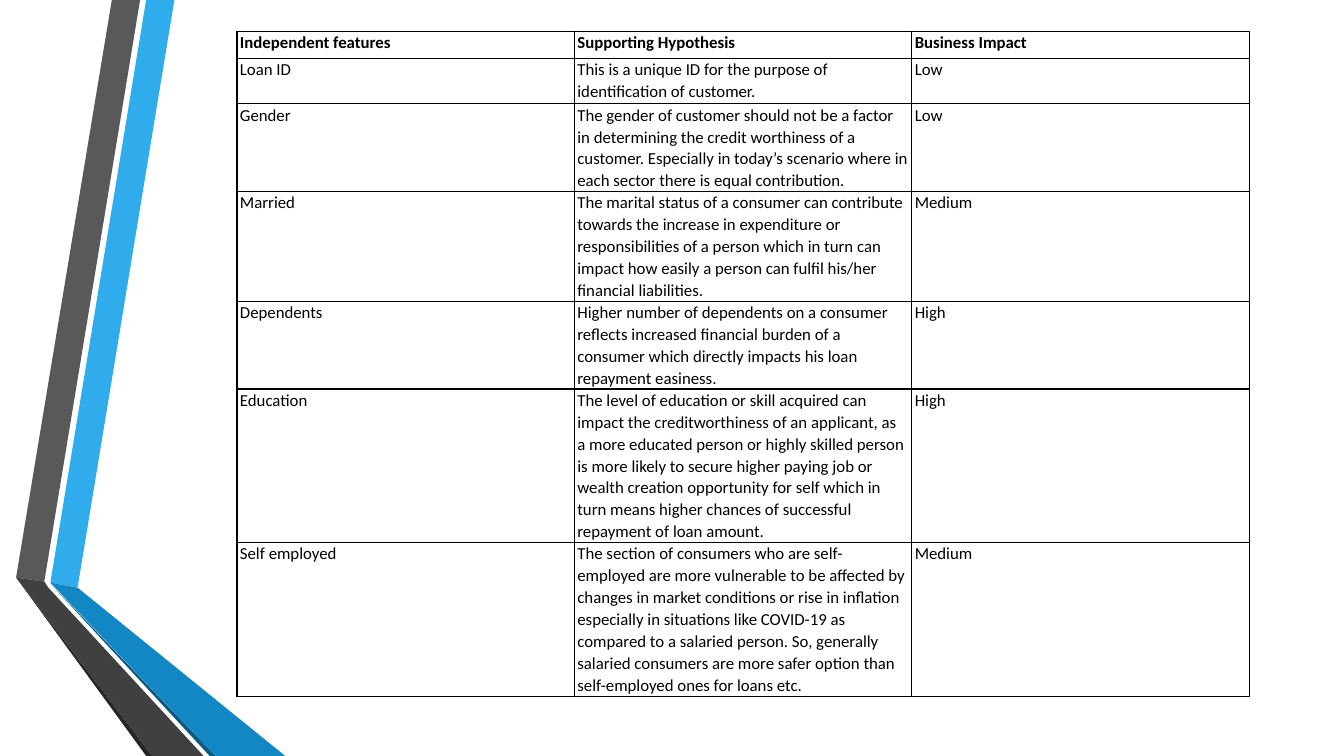
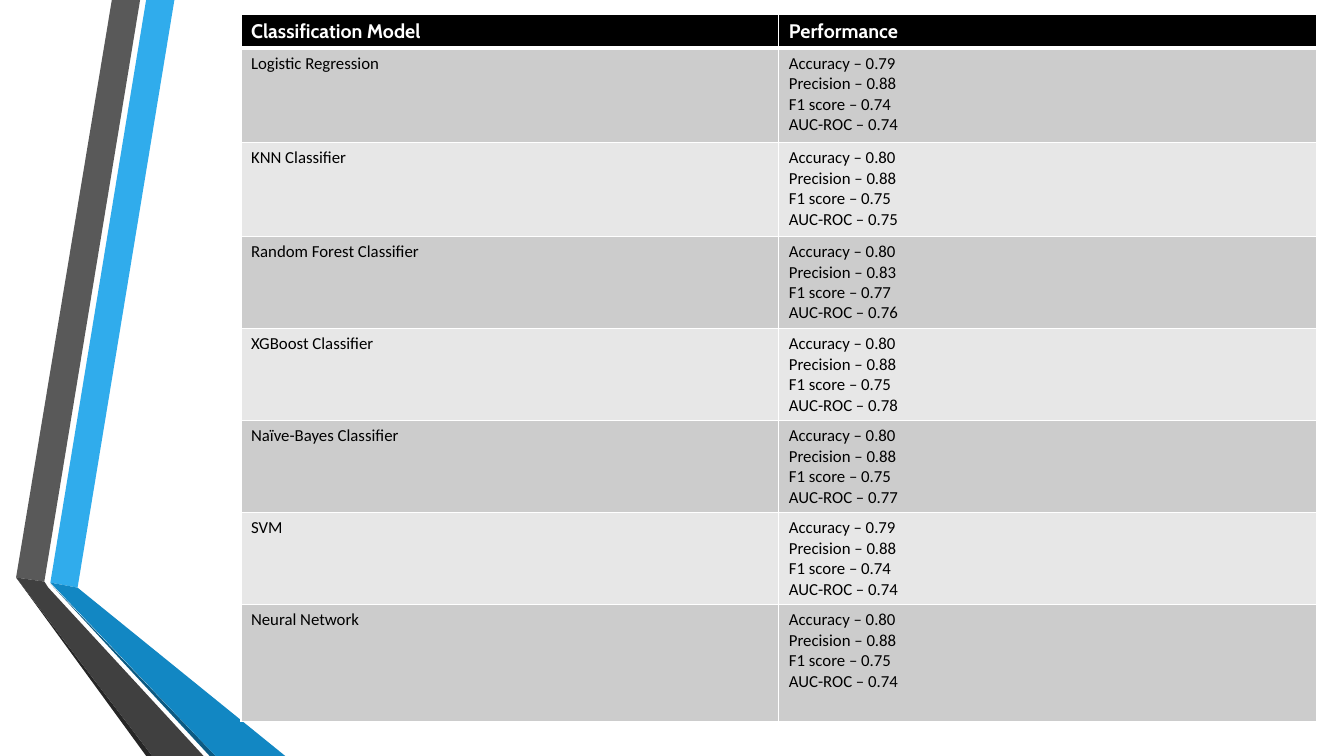
import dataclasses

import lxml.etree
import pptx
import pptx.dml.color
import pptx.enum.text
import pptx.oxml.ns
import pptx.util

Inches = pptx.util.Inches
Pt = pptx.util.Pt
ALIGN = pptx.enum.text.PP_ALIGN


@dataclasses.dataclass(frozen=True)
class Theme:
    """Colours, fonts and type sizes of the deck."""
    black: str = "000000"
    white: str = "FFFFFF"
    row_dark: str = "CCCCCC"
    row_light: str = "E7E7E7"
    blue: str = "30ACEC"
    blue_fold: str = "1287C3"
    blue_shade: str = "0C5A82"
    grey: str = "595959"
    grey_fold: str = "404040"
    grey_shade: str = "262626"
    body_font: str = "Calibri"
    head_font: str = "Cabin"
    body_size: int = 12
    head_size: int = 14
    hairline: int = 1
    rule: int = 3


THEME = Theme()

RIBBONS = [
    (THEME.blue, [(0.34, 5.78), (0.61, 5.83), (1.57, 0), (1.29, 0)]),
    (THEME.grey, [(1.23, 0), (0.95, 0), (0, 5.73), (0.28, 5.77)]),
    (THEME.grey_shade, [(0, 5.73), (1.29, 7.5), (1.35, 7.5)]),
    (THEME.blue_shade, [(0.34, 5.79), (1.92, 7.5), (1.98, 7.5)]),
    (THEME.blue_fold, [(0.34, 5.78), (1.98, 7.5), (2.67, 7.5), (0.61, 5.83)]),
    (THEME.grey_fold, [(1.86, 7.5), (0.32, 5.83), (0.28, 5.77), (0, 5.73), (1.35, 7.5)]),
]

FEATURES = [
    ("Independent features", "Supporting Hypothesis", "Business Impact"),
    ("Loan ID", "This is a unique ID for the purpose of identification of customer.", "Low"),
    ("Gender",
     "The gender of customer should not be a factor in determining the credit worthiness "
     "of a customer. Especially in today’s scenario where in each sector there is equal "
     "contribution.", "Low"),
    ("Married",
     "The marital status of a consumer can contribute towards the increase in expenditure "
     "or responsibilities of a person which in turn can impact how easily a person can "
     "fulfil his/her financial liabilities.", "Medium"),
    ("Dependents",
     "Higher number of dependents on a consumer reflects increased financial burden of a "
     "consumer which directly impacts his loan repayment easiness.", "High"),
    ("Education",
     "The level of education or skill acquired can impact the creditworthiness of an "
     "applicant, as a more educated person or highly skilled person is more likely to "
     "secure higher paying job or wealth creation opportunity for self which in turn means "
     "higher chances of successful repayment of loan amount.", "High"),
    ("Self employed",
     "The section of consumers who are self-employed are more vulnerable to be affected by "
     "changes in market conditions or rise in inflation especially in situations like "
     "COVID-19 as compared to a salaried person. So, generally salaried consumers are more "
     "safer option than self-employed ones for loans etc.", "Medium"),
]
FEATURE_HEIGHTS = [0.27, 0.45, 0.87, 1.09, 0.87, 1.52, 1.53]

METRICS = ("Accuracy", "Precision", "F1 score", "AUC-ROC")
MODELS = [
    ("Logistic Regression", (0.79, 0.88, 0.74, 0.74)),
    ("KNN Classifier", (0.80, 0.88, 0.75, 0.75)),
    ("Random Forest Classifier", (0.80, 0.83, 0.77, 0.76)),
    ("XGBoost Classifier", (0.80, 0.88, 0.75, 0.78)),
    ("Naïve-Bayes Classifier", (0.80, 0.88, 0.75, 0.77)),
    ("SVM", (0.79, 0.88, 0.74, 0.74)),
    ("Neural Network", (0.80, 0.88, 0.75, 0.74)),
]
MODEL_HEIGHTS = [0.32, 0.94, 0.93, 0.91, 0.91, 0.91, 0.91, 1.16]


def rgb(colour):
    """Return the colour object for a hex string."""
    return pptx.dml.color.RGBColor.from_string(colour)


def add_ribbons(s, layout, left, top):
    """Draw the folded ribbons from a corner point and hand them to the layout."""
    group = s.shapes.add_group_shape()
    for colour, outline in RIBBONS:
        points = [(Inches(left + x), Inches(top + y)) for x, y in outline]
        builder = group.shapes.build_freeform(*points[0], scale=1.0)
        builder.add_line_segments(points[1:], close=True)
        sp = builder.convert_to_shape()
        sp.shadow.inherit = False
        sp.fill.solid()
        sp.fill.fore_color.rgb = rgb(colour)
        sp.line.fill.background()
    layout.element.cSld.spTree.append(group.element)


def add_grid(s, left, top, width, heights, columns):
    """Add an unbanded table with equal columns and return it."""
    frame = s.shapes.add_table(len(heights), columns, Inches(left), Inches(top),
                               Inches(width), Inches(sum(heights)))
    table = frame.table
    table.first_row = table.horz_banding = False
    for row, height in zip(table.rows, heights):
        row.height = Inches(height)
    return table


def set_borders(cell, colour, **widths):
    """Draw the four cell borders, hairline unless a side has its own width."""
    tcPr = cell._tc.get_or_add_tcPr()
    for side in "LRTB":
        width = Pt(widths.get(side, THEME.hairline))
        ln = lxml.etree.SubElement(tcPr, pptx.oxml.ns.qn(f"a:ln{side}"), w=str(width))
        fill = lxml.etree.SubElement(ln, pptx.oxml.ns.qn("a:solidFill"))
        lxml.etree.SubElement(fill, pptx.oxml.ns.qn("a:srgbClr"), val=colour)


def write_cell(cell, lines, font, size, colour, bold=False):
    """Write one paragraph per line and return the paragraphs."""
    tf = cell.text_frame
    for i, line in enumerate(lines):
        p = tf.add_paragraph() if i else tf.paragraphs[0]
        r = p.add_run()
        r.text = line
        r.font.name = font
        r.font.size = Pt(size)
        r.font.bold = bold
        r.font.color.rgb = rgb(colour)
    return tf.paragraphs


def add_feature_table(s, left, top, width):
    """Place the ruled table of features and hypotheses."""
    table = add_grid(s, left, top, width, FEATURE_HEIGHTS, len(FEATURES[0]))
    for i, row in enumerate(FEATURES):
        for j, text in enumerate(row):
            cell = table.cell(i, j)
            cell.margin_left = cell.margin_right = Inches(0.03)
            cell.margin_top = cell.margin_bottom = 0
            set_borders(cell, THEME.black)
            cell.fill.background()
            for p in write_cell(cell, [text], THEME.body_font, THEME.body_size,
                                THEME.black, bold=i == 0):
                p.line_spacing = 1.07
                p.space_after = Pt(8)


def add_model_table(s, left, top, width):
    """Place the banded table of models and their scores."""
    rows = [(["Classification Model"], ["Performance"])]
    rows += [([name], [f"{metric} – {score:.2f}" for metric, score in zip(METRICS, scores)])
             for name, scores in MODELS]
    table = add_grid(s, left, top, width, MODEL_HEIGHTS, 2)
    head = (THEME.head_font, THEME.head_size, THEME.white, True)
    body = (THEME.body_font, THEME.body_size, THEME.black)
    for i, row in enumerate(rows):
        band = THEME.row_dark if i % 2 else THEME.row_light
        rules = {0: {"B": THEME.rule}, 1: {"T": THEME.rule}}.get(i, {})
        for j, lines in enumerate(row):
            cell = table.cell(i, j)
            set_borders(cell, THEME.white, **rules)
            cell.fill.solid()
            cell.fill.fore_color.rgb = rgb(band if i else THEME.black)
            for p in write_cell(cell, lines, *(body if i else head)):
                p.alignment = ALIGN.JUSTIFY


def main():
    """Build and save the deck."""
    prs = pptx.Presentation()
    prs.slide_width, prs.slide_height = Inches(13.33), Inches(7.5)
    layout = prs.slide_layouts[6]
    for placeholder in list(layout.placeholders):
        placeholder.element.getparent().remove(placeholder.element)
    features = prs.slides.add_slide(layout)
    add_ribbons(features, layout, 0.16, 0)
    add_feature_table(features, 2.35, 0.31, 10.04)
    models = prs.slides.add_slide(layout)
    add_model_table(models, 2.39, 0.14, 10.67)
    prs.save("out.pptx")


if __name__ == "__main__":
    main()
